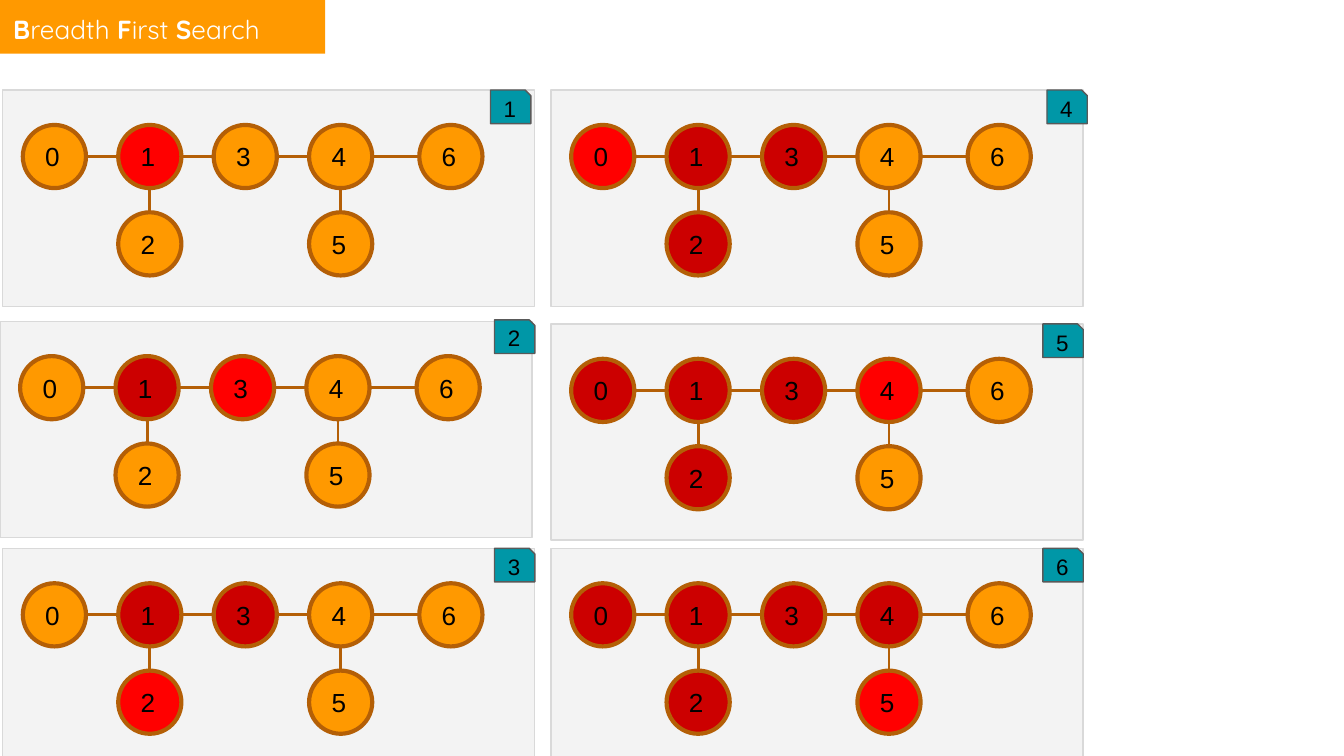
"""Build a slide showing six steps of a breadth first search on a small graph."""
import pptx
import pptx.dml.color
import pptx.enum.shapes
import pptx.enum.text
import pptx.oxml
import pptx.util

Inches = pptx.util.Inches
Pt = pptx.util.Pt
RGBColor = pptx.dml.color.RGBColor
MSO_SHAPE = pptx.enum.shapes.MSO_SHAPE
MSO_ANCHOR = pptx.enum.text.MSO_ANCHOR

ORANGE = RGBColor(0xFF, 0x99, 0x00)
BROWN = RGBColor(0xB4, 0x5F, 0x06)
RED = RGBColor(0xFF, 0x00, 0x00)
DARK_RED = RGBColor(0xCC, 0x00, 0x00)
TEAL = RGBColor(0x00, 0x97, 0xA7)
PALE_GRAY = RGBColor(0xF3, 0xF3, 0xF3)
LIGHT_GRAY = RGBColor(0xD9, 0xD9, 0xD9)
DARK_GRAY = RGBColor(0x59, 0x59, 0x59)
BLACK = RGBColor(0x00, 0x00, 0x00)
WHITE = RGBColor(0xFF, 0xFF, 0xFF)

NODE = 0.47
NODES = {0: (0.15, 0.26), 1: (0.86, 0.26), 3: (1.57, 0.26), 4: (2.28, 0.26),
         6: (3.1, 0.26), 2: (0.86, 0.91), 5: (2.28, 0.91)}
EDGES = [(0, 1), (1, 3), (3, 4), (4, 6), (1, 2), (4, 5)]
VISIT_ORDER = [1, 3, 2, 0, 4, 5]
PANELS = [(0.02, 0.67), (0, 2.39), (0.02, 4.08), (4.1, 0.67), (4.1, 2.41), (4.1, 4.08)]
BADGES = [(3.65, 0.67), (3.68, 2.38), (3.68, 4.08), (7.79, 0.67), (7.76, 2.41), (7.76, 4.08)]

prs = pptx.Presentation()
prs.slide_width = Inches(10)
prs.slide_height = prs.slide_width * 9 // 16
s = prs.slides.add_slide(prs.slide_layouts[6])


def add_box(kind, x, y, w, h, fill, line=None, weight=0.75):
    sp = s.shapes.add_shape(kind, Inches(x), Inches(y), Inches(w), Inches(h))
    sp.shadow.inherit = False
    sp.fill.solid()
    sp.fill.fore_color.rgb = fill
    if line is None:
        sp.line.fill.background()
    else:
        sp.line.color.rgb = line
        sp.line.width = Pt(weight)
    tf = sp.text_frame
    tf.margin_left = tf.margin_right = tf.margin_top = tf.margin_bottom = Inches(0.1)
    tf.paragraphs[0].alignment = pptx.enum.text.PP_ALIGN.LEFT
    return sp


def add_label(sp, text, size):
    tf = sp.text_frame
    tf.vertical_anchor = MSO_ANCHOR.MIDDLE
    p = tf.paragraphs[0]
    p.text = text
    font = p.runs[0].font
    font.name, font.size, font.color.rgb = "Arial", Pt(size), BLACK


title = add_box(MSO_SHAPE.RECTANGLE, 0, 0, 2.42, 0.4, ORANGE)
title.text_frame.vertical_anchor = MSO_ANCHOR.TOP
for word in ["Breadth ", "First ", "Search"]:
    for text, bold in [(word[0], True), (word[1:], False)]:
        r = title.text_frame.paragraphs[0].add_run()
        r.text = text
        r.font.name, r.font.size, r.font.bold = "Quicksand", Pt(14), bold
        r.font.color.rgb = WHITE

for step, (left, top) in enumerate(PANELS):
    add_box(MSO_SHAPE.RECTANGLE, left, top, 3.96, 1.61, PALE_GRAY, LIGHT_GRAY)

    for node, (x, y) in NODES.items():
        if node == VISIT_ORDER[step]:
            fill = RED
        elif node in VISIT_ORDER[:step]:
            fill = DARK_RED
        else:
            fill = ORANGE
        sp = add_box(MSO_SHAPE.OVAL, left + x, top + y, NODE, NODE, fill, BROWN, 2.25)
        add_label(sp, str(node), 14)

    for start, end in EDGES:
        (x1, y1), (x2, y2) = NODES[start], NODES[end]
        if y1 == y2:
            x1, y1, y2 = x1 + NODE, y1 + NODE / 2, y2 + NODE / 2
        else:
            x1, x2, y1 = x1 + NODE / 2, x2 + NODE / 2, y1 + NODE
        edge = s.shapes.add_connector(
            pptx.enum.shapes.MSO_CONNECTOR.STRAIGHT,
            Inches(left + x1), Inches(top + y1), Inches(left + x2), Inches(top + y2))
        edge.line.color.rgb = BROWN
        edge.line.width = Pt(1.5)
        sp_pr = edge._element.spPr
        sp_pr.append(sp_pr.makeelement(pptx.oxml.ns.qn("a:effectLst"), {}))

for number, (x, y) in enumerate(BADGES, start=1):
    sp = add_box(MSO_SHAPE.SNIP_1_RECTANGLE, x, y, 0.3, 0.25, TEAL, DARK_GRAY)
    add_label(sp, str(number), 12)

prs.save("out.pptx")
